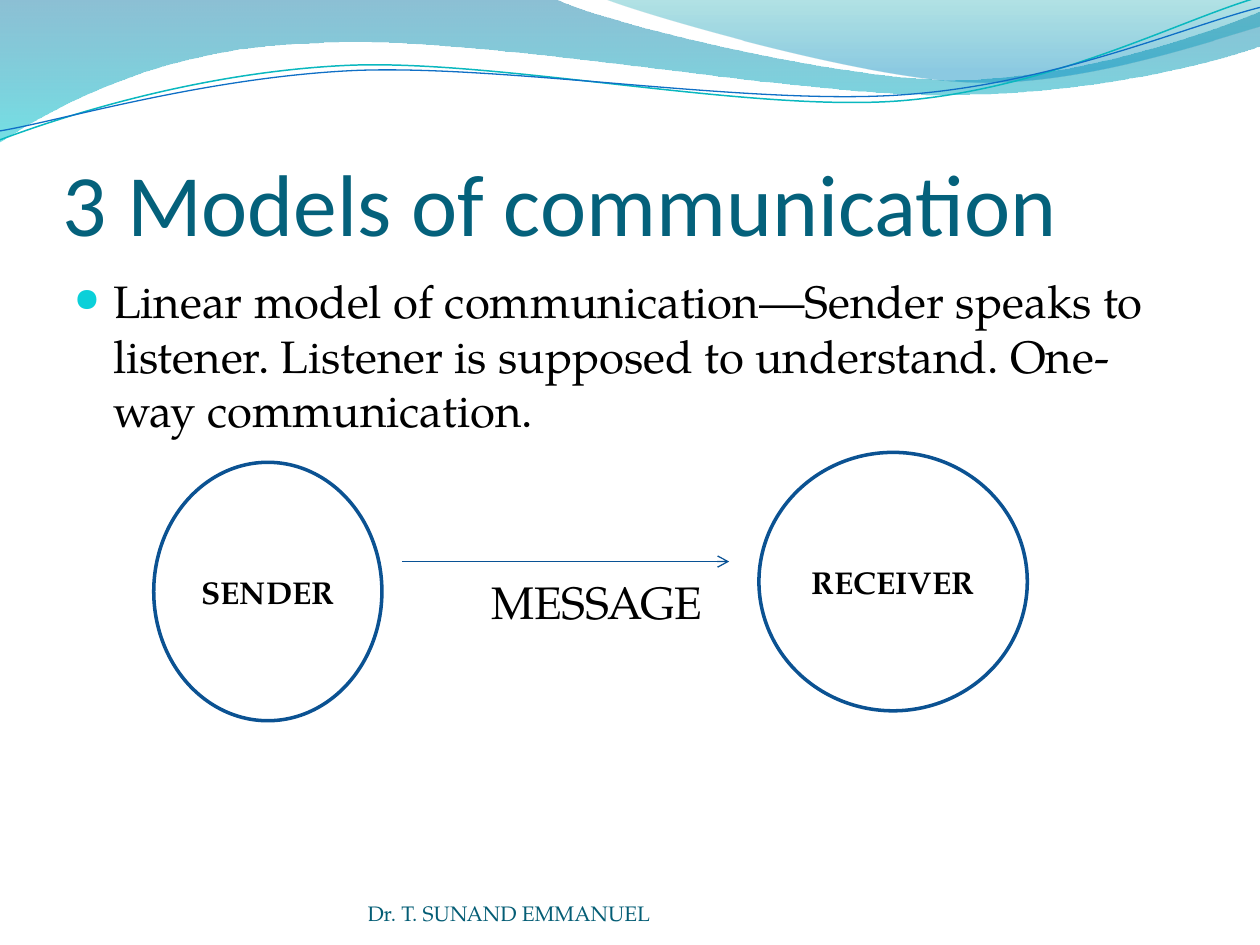
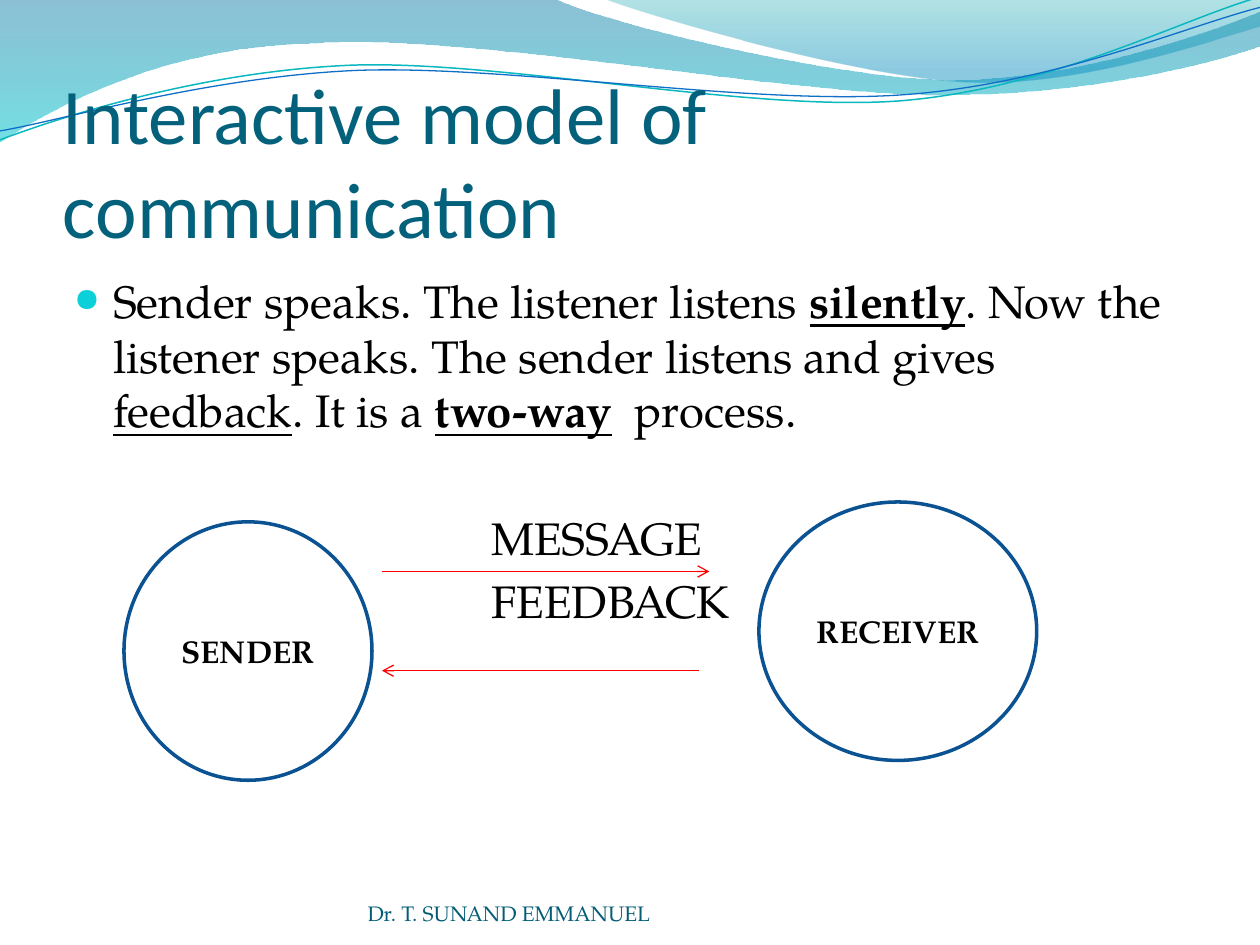
from lxml import etree
from pptx import Presentation
from pptx.dml.color import RGBColor
from pptx.enum.shapes import MSO_CONNECTOR as Connector, MSO_SHAPE as Shape
from pptx.enum.text import MSO_ANCHOR as Anchor, PP_ALIGN as Align
from pptx.oxml.ns import qn
from pptx.util import Cm, Pt

COLORS = {
    "title": "04617B", "footer": "045D75", "text": "000000", "paper": "FFFFFF",
    "bullet": "0BD0D9", "ring": "0B5292", "arrow": "095295", "red": "FF0000",
    "teal_line": "0AB8BF", "blue_line": "0F6FC6",
    "band_top": "0074A1", "band_end": "00C6CF",
    "crest_top": "00A1A9", "crest_end": "008BBF",
}
SERIF, SANS = "TeX Gyre Pagella", "Calibri"
LINE_TILT = 357.3

# Outlines in centimetres: a start point, then lines (2 numbers) and Bézier curves (6).
BAND = [(0, 0), (11.18, -0.03),
        (12.09, 0.43, 16.87, 1.6, 19.25, 1.6), (21.67, 1.6, 24.33, 0.66, 25.4, 0.23),
        (25.43, 0.91),
        (24.97, 1.12, 22.1, 1.93, 18.95, 1.91), (15.8, 1.91, 9.7, 0.71, 6.53, 0.86),
        (3.28, 0.91, 1.17, 2.11, -0.03, 2.87)]
CREST = [(12.17, -0.03),
         (12.93, 0.28, 17.32, 1.57, 19.53, 1.65), (21.74, 1.75, 24.41, 0.81, 25.4, 0.53),
         (25.4, 0)]
TEAL_LINE = [(-0.05, 2.22),
             (1.19, 1.82, 4.02, 1.04, 7.05, 1.05), (10.05, 1.07, 15.02, 2.37, 18.08, 2.29),
             (21.14, 2.2, 23.87, 0.91, 25.41, 0.55)]
BLUE_LINE = [(-0.04, 2.04),
             (1.16, 1.9, 4.18, 1.15, 7.2, 1.16), (10.25, 1.19, 15.13, 2.25, 18.18, 2.17),
             (21.21, 2.1, 23.93, 1.06, 25.45, 0.75)]


def rgb(name):
    return RGBColor.from_string(COLORS[name])


class Deck:
    def __init__(self):
        self.deck = Presentation()
        self.deck.slide_width, self.deck.slide_height = Cm(25.4), Cm(19.05)
        self.page = None

    def add_page(self, title, title_size):
        """Start a slide with the waves and the title."""
        self.page = self.deck.slides.add_slide(self.deck.slide_layouts[6])
        self.wave_fill(BAND, (0, "band_top", 45), (1, "band_end", 55))
        self.wave_fill(CREST, (0, "crest_top", 30), (0.8, "crest_end", 45))
        self.wave_line(TEAL_LINE, "teal_line", 0.85)
        self.wave_line(BLUE_LINE, "blue_line", 0.75)
        frame = self.text_frame(1.27, 1.96, 22.86, 3.17, Anchor.BOTTOM)
        frame.margin_top = Cm(0.13)
        self.span(frame.paragraphs[0], title, title_size, "title", SANS)

    def footer(self):
        frame = self.text_frame(7.41, 17.65, 9.32, 1.02, Anchor.BOTTOM)
        self.span(frame.paragraphs[0], "Dr. T. SUNAND EMMANUEL", 12, "footer")

    def freeform(self, outline, close):
        """Draw through all points, then join each three control lines into a curve."""
        points = [(Cm(x), Cm(y)) for step in outline for x, y in zip(step[::2], step[1::2])]
        builder = self.page.shapes.build_freeform(*points[0], scale=1.0)
        builder.add_line_segments(points[1:], close=close)
        shape = builder.convert_to_shape()
        shape.shadow.inherit = False
        lines = shape._element.spPr.iter(qn("a:lnTo"))
        lines = iter(list(lines))
        for step in outline[1:]:
            first = next(lines)
            if len(step) == 6:
                curve = etree.Element(qn("a:cubicBezTo"))
                first.addprevious(curve)
                for line in (first, next(lines), next(lines)):
                    curve.append(line[0])
                    line.getparent().remove(line)
        return shape

    def wave_fill(self, outline, *stops):
        shape = self.freeform(outline, True)
        shape.line.fill.background()
        shape.fill.gradient()
        shape.fill.gradient_angle = 270
        for stop, (position, color, opacity) in zip(shape.fill.gradient_stops, stops):
            stop.position = position
            stop.color.rgb = rgb(color)
        for tag, (_, _, opacity) in zip(shape.fill._xPr.iter(qn("a:srgbClr")), stops):
            etree.SubElement(tag, qn("a:alpha"), val=str(opacity * 1000))

    def wave_line(self, outline, color, width):
        shape = self.freeform(outline, False)
        shape.rotation = LINE_TILT
        shape.fill.background()
        shape.line.color.rgb, shape.line.width = rgb(color), Pt(width)

    def text_frame(self, left, top, width, height, anchor=Anchor.TOP):
        box = self.page.shapes.add_textbox(Cm(left), Cm(top), Cm(width), Cm(height))
        frame = box.text_frame
        frame.word_wrap, frame.vertical_anchor = True, anchor
        frame.margin_left = frame.margin_right = 0
        frame.margin_top = frame.margin_bottom = 0
        return frame

    def span(self, para, text, size, color="text", font=SERIF, bold=False, underline=False):
        span = para.add_run()
        span.text = text
        span.font.name, span.font.size = font, Pt(size)
        span.font.color.rgb = rgb(color)
        span.font.bold, span.font.underline = bold, underline

    def body(self, spans, labels):
        """Spans are (text, style), "b" bold, "u" underlined; labels are (word, space before)."""
        frame = self.text_frame(1.27, 5.38, 22.86, 12.19)
        frame.margin_left = frame.margin_right = Cm(0.25)
        frame.margin_top = frame.margin_bottom = Cm(0.13)
        para = frame.paragraphs[0]
        para.space_before = Pt(5.2)
        props = para._p.get_or_add_pPr()
        props.set("marL", str(Cm(0.76)))
        props.set("indent", str(Cm(-0.76)))
        color = etree.SubElement(props, qn("a:buClr"))
        etree.SubElement(color, qn("a:srgbClr"), val=COLORS["bullet"])
        etree.SubElement(props, qn("a:buSzPct"), val="66000")
        etree.SubElement(props, qn("a:buFont"), typeface=SERIF)
        etree.SubElement(props, qn("a:buChar"), char="●")
        for text, style in spans:
            self.span(para, text, 26, bold="b" in style, underline="u" in style)
        for word, gap in labels:
            para = frame.add_paragraph()
            para.space_before = Pt(gap)
            para._p.get_or_add_pPr().set("marL", str(Cm(8.38)))
            self.span(para, word, 26)

    def circle(self, word, left, top, width, height=5.21):
        shape = self.page.shapes.add_shape(Shape.OVAL, Cm(left), Cm(top), Cm(width), Cm(height))
        shape.shadow.inherit = False
        shape.fill.solid()
        shape.fill.fore_color.rgb = rgb("paper")
        shape.line.color.rgb, shape.line.width = rgb("ring"), Pt(2)
        frame = shape.text_frame
        frame.word_wrap, frame.vertical_anchor = True, Anchor.MIDDLE
        para = frame.paragraphs[0]
        para.alignment = Align.CENTER
        self.span(para, word, 18, bold=True)

    def arrow(self, start, end, y, color):
        line = self.page.shapes.add_connector(Connector.STRAIGHT, Cm(start), Cm(y), Cm(end), Cm(y))
        line.line.color.rgb, line.line.width = rgb(color), Pt(0.75)
        etree.SubElement(line.line._get_or_add_ln(), qn("a:tailEnd"), type="arrow")
        etree.SubElement(line._element.spPr, qn("a:effectLst"))


def main():
    deck = Deck()

    deck.add_page("3 Models of communication", 50)
    deck.body([("Linear model of communication—Sender speaks to listener. "
                "Listener is supposed to understand. One-way communication.", "")],
              [("MESSAGE", 78.5)])
    deck.circle("SENDER", 3.1, 9.32, 4.6)
    deck.circle("RECEIVER", 15.3, 9.12, 5.41)
    deck.arrow(8.1, 14.7, 11.32, "arrow")
    deck.footer()

    deck.add_page("Interactive model of communication", 45)
    deck.body([("Sender speaks. The listener listens ", ""), ("silently", "bu"),
               (". Now the listener speaks. The sender listens and gives ", ""),
               ("feedback", "u"), (". It is a ", ""), ("two-way", "bu"), ("  process.", "")],
              [("MESSAGE", 41.6), ("FEEDBACK", 5.2)])
    deck.circle("SENDER", 2.5, 10.52, 5)
    deck.circle("RECEIVER", 15.3, 10.12, 5.6)
    deck.arrow(7.7, 14.3, 11.52, "red")
    deck.arrow(14.1, 7.7, 13.52, "red")
    deck.footer()

    deck.deck.save("out.pptx")


if __name__ == "__main__":
    main()
